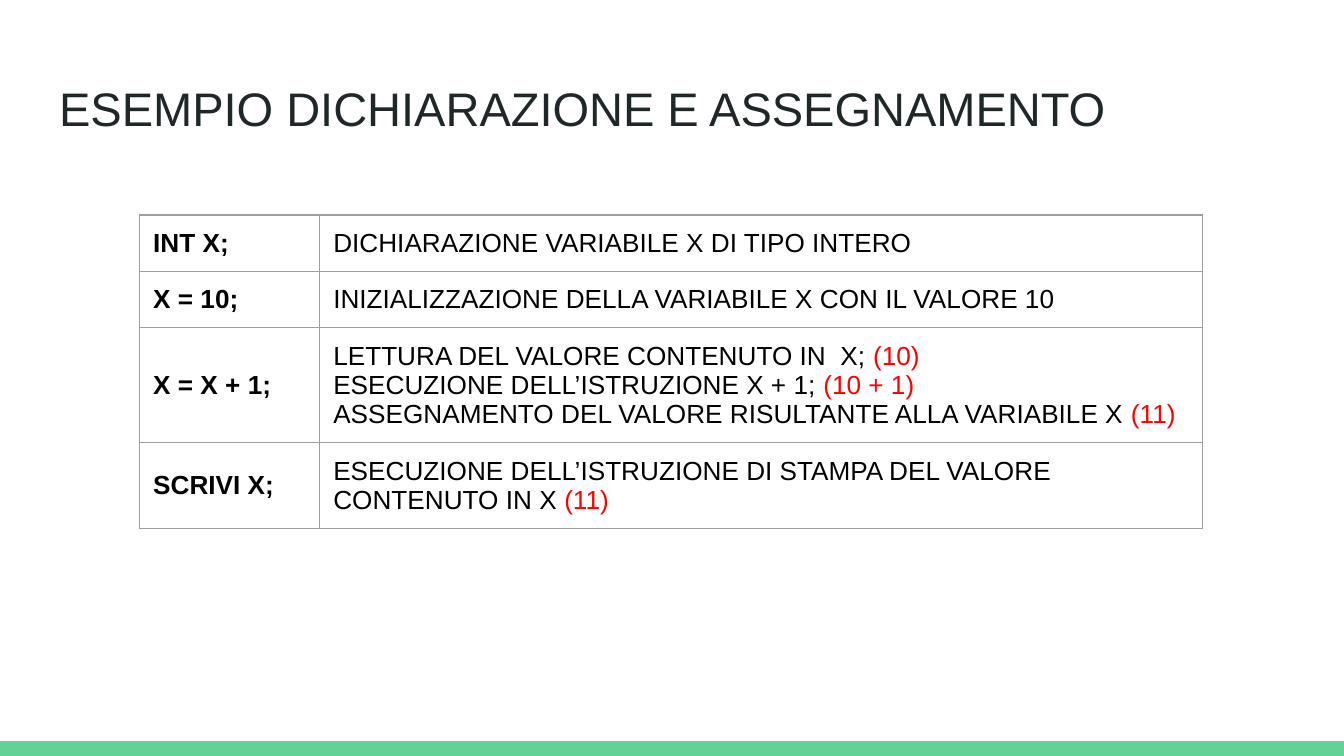
from lxml import etree
from pptx import Presentation
from pptx.dml.color import RGBColor
from pptx.enum.shapes import MSO_SHAPE
from pptx.enum.text import MSO_ANCHOR, PP_ALIGN
from pptx.oxml.ns import qn
from pptx.util import Inches, Pt

TOP = MSO_ANCHOR.TOP
MID = MSO_ANCHOR.MIDDLE
LEFT = PP_ALIGN.LEFT
RECT = MSO_SHAPE.RECTANGLE

THEME = {
    "font": "Arial", "head": 25.2, "body": 14, "rule": 0.75,
    "title": "202729", "text": "000000", "note": "FF0000",
    "bar": "63D297", "grid": "9E9E9E", "paper": "FFFFFF",
}
PAD = Inches(0.1)
INSET = {"margin_left": PAD, "margin_right": PAD,
         "margin_top": PAD, "margin_bottom": PAD}
FRAME = {**INSET, "vertical_anchor": TOP, "word_wrap": True}
CELL = {**INSET, "vertical_anchor": MID}


def put(item, form):
    for key, val in form.items():
        setattr(item, key, val)


def write(para, text, size, color, bold=False):
    para.alignment = LEFT
    run = para.add_run()
    run.text = text
    put(run.font, {"name": THEME["font"], "size": Pt(THEME[size]), "bold": bold})
    run.font.color.rgb = RGBColor.from_string(THEME[color])


deck = Presentation()
wide = Inches(10)
high = wide * 9 // 16
put(deck, {"slide_width": wide, "slide_height": high})
slide = deck.slides.add_slide(deck.slide_layouts[5])
slide.background.fill.solid()
slide.background.fill.fore_color.rgb = RGBColor.from_string(THEME["paper"])

thick = Inches(0.11)
bar = slide.shapes.add_shape(RECT, 0, high - thick, wide, thick)
bar.shadow.inherit = False
bar.fill.solid()
bar.fill.fore_color.rgb = RGBColor.from_string(THEME["bar"])
bar.line.fill.background()

title = slide.shapes.title
put(title, {"left": Inches(0.34), "top": Inches(0.49),
            "width": Inches(9.32), "height": Inches(0.63)})
put(title.text_frame, FRAME)
write(title.text_frame.paragraphs[0], "ESEMPIO DICHIARAZIONE E ASSEGNAMENTO",
      "head", "title")

steps = [
    ("INT X;", [("DICHIARAZIONE VARIABILE X DI TIPO INTERO", "")]),
    ("X = 10;", [("INIZIALIZZAZIONE DELLA VARIABILE X CON IL VALORE 10", "")]),
    ("X = X + 1;", [
        ("LETTURA DEL VALORE CONTENUTO IN  X; ", "(10)"),
        ("ESECUZIONE DELL’ISTRUZIONE X + 1; ", "(10 + 1)"),
        ("ASSEGNAMENTO DEL VALORE RISULTANTE ALLA VARIABILE X ", "(11)")]),
    ("SCRIVI X;", [
        ("ESECUZIONE DELL’ISTRUZIONE DI STAMPA DEL VALORE CONTENUTO IN X ", "(11)")]),
]
cols = [Inches(1.34), Inches(6.57)]
row = Inches(0.42)
grid = slide.shapes.add_table(len(steps), len(cols), Inches(1.04), Inches(1.6),
                              sum(cols), row * len(steps)).table
put(grid, {"first_row": False, "horz_banding": False})
for col, size in zip(grid.columns, cols):
    col.width = size

for line, (code, notes) in zip(grid.rows, steps):
    line.height = row
    left, right = line.cells
    write(left.text_frame.paragraphs[0], code, "body", "text", True)
    for num, (text, value) in enumerate(notes):
        frame = right.text_frame
        para = frame.add_paragraph() if num else frame.paragraphs[0]
        write(para, text, "body", "text")
        if value:
            write(para, value, "body", "note")
    for cell in line.cells:
        put(cell, CELL)
        props = cell._tc.get_or_add_tcPr()
        for side in ("a:lnL", "a:lnR", "a:lnT", "a:lnB"):
            edge = etree.SubElement(props, qn(side), w=str(Pt(THEME["rule"])))
            fill = etree.SubElement(edge, qn("a:solidFill"))
            etree.SubElement(fill, qn("a:srgbClr"), val=THEME["grid"])
        cell.fill.background()

deck.save("out.pptx")
